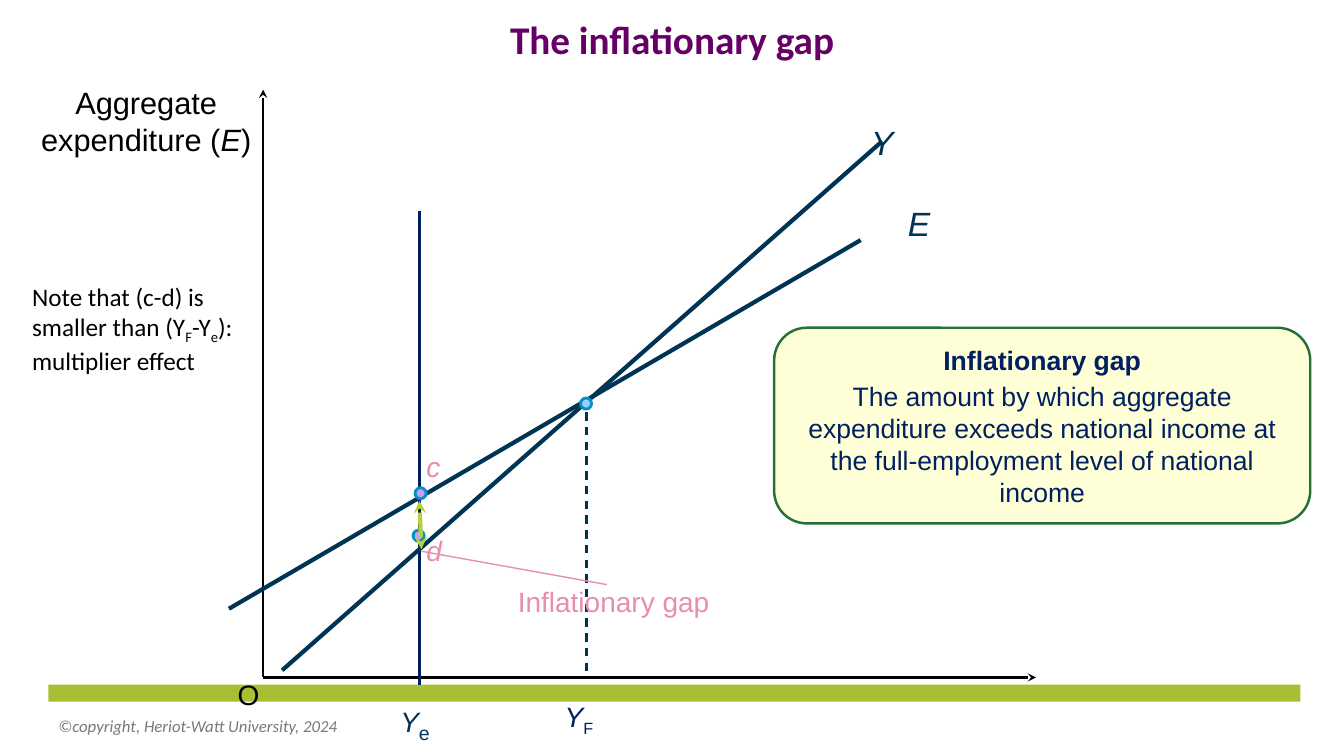
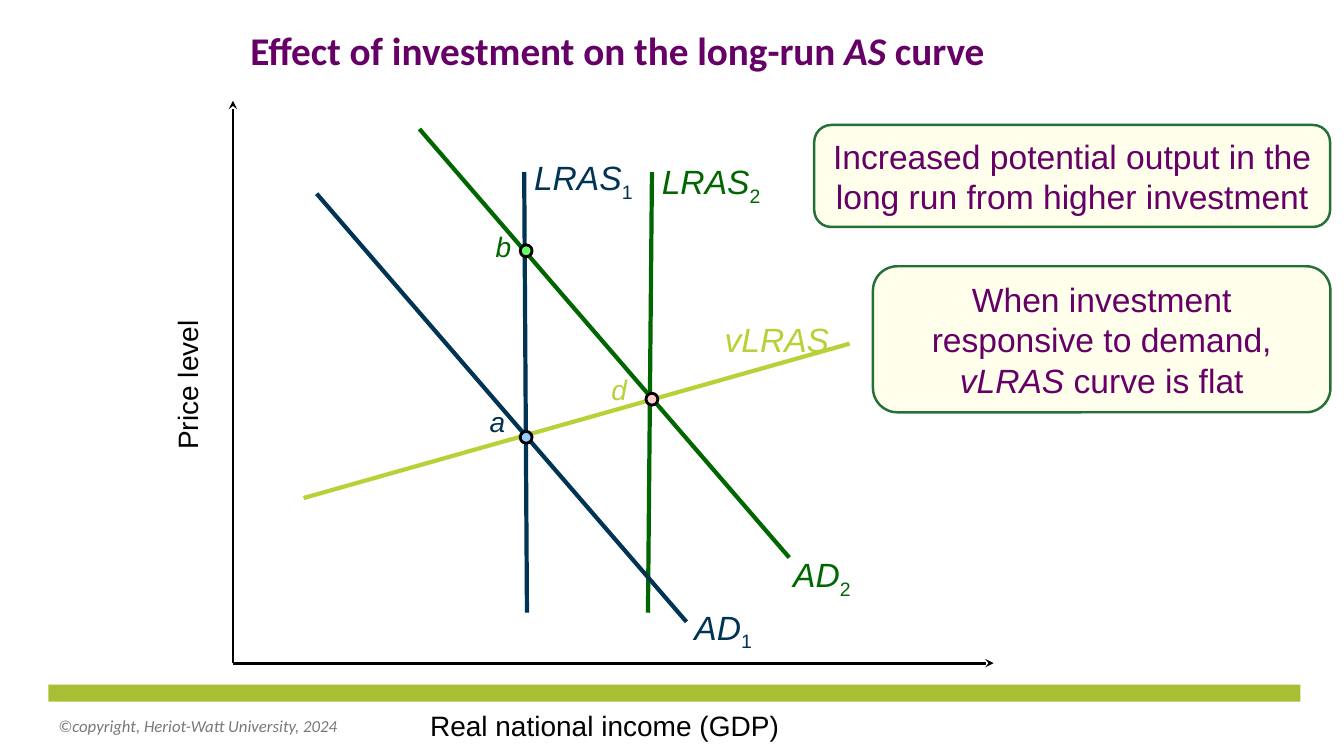
from dataclasses import dataclass

from lxml.etree import SubElement
from pptx import Presentation
from pptx.dml.color import RGBColor
from pptx.enum.dml import MSO_LINE_DASH_STYLE as Dash
from pptx.enum.shapes import MSO_CONNECTOR as Connector, MSO_SHAPE as Preset
from pptx.enum.text import MSO_ANCHOR as Anchor, PP_ALIGN as Align
from pptx.oxml import parse_xml
from pptx.oxml.ns import nsdecls, qn
from pptx.util import Cm, Pt

BLACK, NAVY, BLUE = "000000", "003454", "002060"
PURPLE, PINK, LIME, GREEN = "660066", "E88EAD", "B8D137", "006600"
BAND, FOOTER_GREY, BOX_EDGE = "A8BF33", "797979", "257039"
BODY_FONT, TITLE_FONT = "Arial", "Calibri"
FOOTER = "©copyright, Heriot-Watt University, 2024"


@dataclass
class Line:
    start: tuple
    end: tuple
    color: str = NAVY
    width: float = 3
    arrows: tuple = ()
    dashed: bool = False


@dataclass
class Point:
    center: tuple
    fill: str
    edge: str = BLACK
    diameter: float = 0.3


@dataclass
class Label:
    area: tuple
    paragraphs: list
    color: str = BLACK
    size: float = 20
    align: Align = Align.LEFT
    font: str = BODY_FONT
    wrap: bool = False
    rotation: float = 0


@dataclass
class Callout:
    area: tuple
    paragraphs: list
    fill: str
    color: str
    size: float


def plain(text):
    return [[(text, "")]]


def symbol(letters, subscript="", size=None):
    runs = [(letters, "i")]
    if subscript:
        runs.append((subscript, "s", size))
    return [runs]


GAP_EDGE = "0094BD"
SLIDES = [
    {
        "title": ((0, -0.08, 33.87, 1.78), plain("The inflationary gap")),
        "axes": ((6.63, 17.07), 2.26, 26.11),
        "lines": [
            Line((14.78, 10.39), (14.78, 16.94), width=1.5, dashed=True),
            Line((10.57, 5.31), (10.57, 17.27), BLUE, 2.25),
            Line((7.11, 16.89), (22.23, 3.56)),
            Line((5.77, 15.34), (21.69, 6.05)),
        ],
        "points": [
            Point((14.77, 10.17), "99CCFF", GAP_EDGE, 0.28),
            Point((10.6, 12.43), "CC99FF", GAP_EDGE, 0.28),
            Point((10.55, 13.5), "CC99FF", GAP_EDGE, 0.28),
        ],
        "gap_marks": [
            Line((10.57, 12.62), (10.62, 13.84), LIME, 3, ("headEnd", "tailEnd")),
            Line((10.62, 13.89), (15.29, 14.73), PINK, 1),
        ],
        "labels": [
            Label((5.74, 16.94, 1.07, 1.12), plain("O")),
            Label((9.8, 17.48, 1.32, 1.12), symbol("Y", "e", 24), NAVY, align=Align.CENTER),
            Label((13.94, 17.5, 1.3, 1.12), symbol("Y", "F"), BLUE, align=Align.CENTER),
            Label((21.69, 2.95, 1.09, 1.3), symbol("Y"), NAVY, 24, Align.CENTER),
            Label((22.63, 5, 1.09, 1.3), symbol("E"), NAVY, 24),
            Label((10.49, 11.2, 0.86, 1.12), symbol("c"), PINK, align=Align.CENTER),
            Label((10.49, 13.31, 0.91, 1.12), symbol("d"), PINK, align=Align.CENTER),
            Label((12.8, 14.61, 5.38, 1.12), plain("Inflationary gap"), PINK),
            Label((0.74, 1.98, 5.89, 2.13),
                  [[("Aggregate", "")], [("expenditure (", ""), ("E", "i"), (")", "")]],
                  size=22, align=Align.CENTER),
            Label((0.56, 6.96, 5.89, 2.57),
                  [[("Note that (c-d) is smaller than (Y", ""), ("F", "s"), ("-Y", ""),
                    ("e", "s"), ("): multiplier effect", "")]],
                  size=18, font=TITLE_FONT, wrap=True),
        ],
        "callouts": [
            Callout((19.51, 8.26, 13.51, 4.93),
                    [[("Inflationary gap", "b")],
                     [("The amount by which aggregate expenditure exceeds national income "
                       "at the full-employment level of national income", "")]],
                    "FFFFD7", BLUE, 19),
        ],
    },
    {
        "title": ((0, 0, 31.12, 1.98),
                  [[("Effect of investment on the long-run ", ""), ("AS", "i"), (" curve", "")]]),
        "axes": ((5.87, 16.71), 2.54, 25.04),
        "lines": [
            Line((21.41, 8.66), (7.65, 12.55), LIME),
            Line((16.33, 15.44), (16.43, 4.34), GREEN),
            Line((7.98, 4.88), (17.3, 15.67)),
            Line((13.28, 15.44), (13.21, 4.34)),
            Line((10.57, 3.25), (19.89, 14.05), GREEN),
        ],
        "points": [
            Point((13.26, 6.32), "66FF66"),
            Point((13.26, 11.02), "99CCFF"),
            Point((16.43, 10.06), "FFCCCC"),
        ],
        "gap_marks": [],
        "labels": [
            Label((18.01, 7.9, 3.18, 1.3), symbol("vLRAS"), LIME, 24),
            Label((16.43, 3.94, 3.23, 1.35), symbol("LRAS", "2"), GREEN, 24),
            Label((13.21, 3.84, 3.23, 1.3), symbol("LRAS", "1"), NAVY, 24),
            Label((17.25, 15.16, 2.03, 1.3), symbol("AD", "1"), NAVY, 24),
            Label((19.74, 13.84, 2.03, 1.3), symbol("AD", "2"), GREEN, 24),
            Label((12.09, 10.08, 0.91, 1.12), symbol("a"), NAVY),
            Label((12.24, 5.66, 0.91, 1.12), symbol("b"), GREEN),
            Label((15.16, 9.27, 0.91, 1.12), symbol("d"), LIME),
            Label((2.82, 9.12, 3.81, 1.12), plain("Price level"), rotation=270),
            Label((10.49, 17.73, 9.4, 1.12), plain("Real national income (GDP)"),
                  align=Align.RIGHT),
        ],
        "callouts": [
            Callout((20.52, 3.15, 13, 2.57),
                    plain("Increased potential output in the long run from higher investment"),
                    "FFFFEB", PURPLE, 24),
            Callout((22, 6.71, 11.53, 3.68),
                    [[("When investment responsive to demand, ", ""), ("vLRAS", "i"),
                      (" curve is flat", "")]],
                    "FFFFEB", PURPLE, 24),
        ],
    },
]


def rgb(color):
    return RGBColor.from_string(color)


def lengths(values):
    return [Cm(value) for value in values]


def write(text_frame, paragraphs, color, size, align, font=BODY_FONT, bold=False):
    for index, runs in enumerate(paragraphs):
        paragraph = text_frame.add_paragraph() if index else text_frame.paragraphs[0]
        paragraph.alignment = align
        for text, style, *run_size in runs:
            run = paragraph.add_run()
            run.text = text
            run.font.name = font
            run.font.size = Pt(run_size[0] if run_size and run_size[0] else size)
            run.font.bold = bold or style == "b"
            run.font.italic = style == "i"
            run.font.color.rgb = rgb(color)
            if style == "s":
                run.font._element.set("baseline", "-25000")


def add_line(slide, line):
    connector = slide.shapes.add_connector(
        Connector.STRAIGHT, *lengths(line.start + line.end))
    connector.line.color.rgb = rgb(line.color)
    connector.line.width = Pt(line.width)
    if line.dashed:
        connector.line.dash_style = Dash.DASH
    outline = connector.line._get_or_add_ln()
    for arrow in line.arrows:
        SubElement(outline, qn("a:" + arrow), type="stealth")
    SubElement(connector.element.spPr, qn("a:effectLst"))


def add_axes(slide, origin, top, right):
    for end in ((origin[0], top), (right, origin[1])):
        add_line(slide, Line(origin, end, BLACK, 2, ("tailEnd",)))


def add_filled(slide, preset, area, fill, edge=None, width=2):
    shape = slide.shapes.add_shape(preset, *lengths(area))
    shape.shadow.inherit = False
    shape.fill.solid()
    shape.fill.fore_color.rgb = rgb(fill)
    if edge:
        shape.line.color.rgb = rgb(edge)
        shape.line.width = Pt(width)
    else:
        shape.line.fill.background()
    return shape


def add_point(slide, point):
    corner = [value - point.diameter / 2 for value in point.center]
    add_filled(slide, Preset.OVAL, corner + [point.diameter] * 2, point.fill, point.edge)


def add_label(slide, label):
    box = slide.shapes.add_textbox(*lengths(label.area))
    box.rotation = label.rotation
    box.text_frame.word_wrap = label.wrap
    write(box.text_frame, label.paragraphs, label.color, label.size, label.align, label.font)


def add_callout(slide, callout):
    shape = add_filled(slide, Preset.ROUNDED_RECTANGLE, callout.area, callout.fill,
                       BOX_EDGE, 1.75)
    frame = shape.text_frame
    frame.word_wrap = True
    frame.vertical_anchor = Anchor.MIDDLE
    write(frame, callout.paragraphs, callout.color, callout.size, Align.CENTER)
    for paragraph in frame.paragraphs[:-1]:
        paragraph.space_after = Pt(3)


def set_title(slide, area, paragraphs):
    title = slide.shapes.title
    title.left, title.top, title.width, title.height = lengths(area)
    title.text_frame.vertical_anchor = Anchor.BOTTOM
    write(title.text_frame, paragraphs, PURPLE, 28, Align.CENTER, TITLE_FONT, True)
    for run in title.text_frame.paragraphs[0].runs:
        shadow = parse_xml(
            f'<a:effectLst {nsdecls("a")}><a:outerShdw blurRad="38100" dist="38100" '
            'dir="2700000" algn="tl"><a:srgbClr val="000000"/></a:outerShdw></a:effectLst>')
        run.font._element.find(qn("a:solidFill")).addnext(shadow)


def add_band_and_footer(slide, layout):
    band = add_filled(slide, Preset.RECTANGLE, (1.22, 17.25, 31.55, 0.43), BAND)
    footer = slide.shapes.add_textbox(*lengths((1.22, 17.78, 11.43, 1.02)))
    footer.text_frame.vertical_anchor = Anchor.MIDDLE
    footer.text_frame.word_wrap = True
    write(footer.text_frame, symbol(FOOTER), FOOTER_GREY, 12, Align.LEFT, TITLE_FONT)
    for shape in (band, footer):
        layout.shapes.element.append(shape.element)


def main():
    presentation = Presentation()
    presentation.slide_width, presentation.slide_height = Cm(33.87), Cm(19.05)
    layout = presentation.slide_layouts.get_by_name("Title Only")
    for number, content in enumerate(SLIDES):
        slide = presentation.slides.add_slide(layout)
        if number == 0:
            add_band_and_footer(slide, layout)
        set_title(slide, *content["title"])
        add_axes(slide, *content["axes"])
        for part, draw in (("lines", add_line), ("points", add_point),
                           ("gap_marks", add_line), ("labels", add_label),
                           ("callouts", add_callout)):
            for item in content[part]:
                draw(slide, item)
    presentation.save("out.pptx")


if __name__ == "__main__":
    main()
